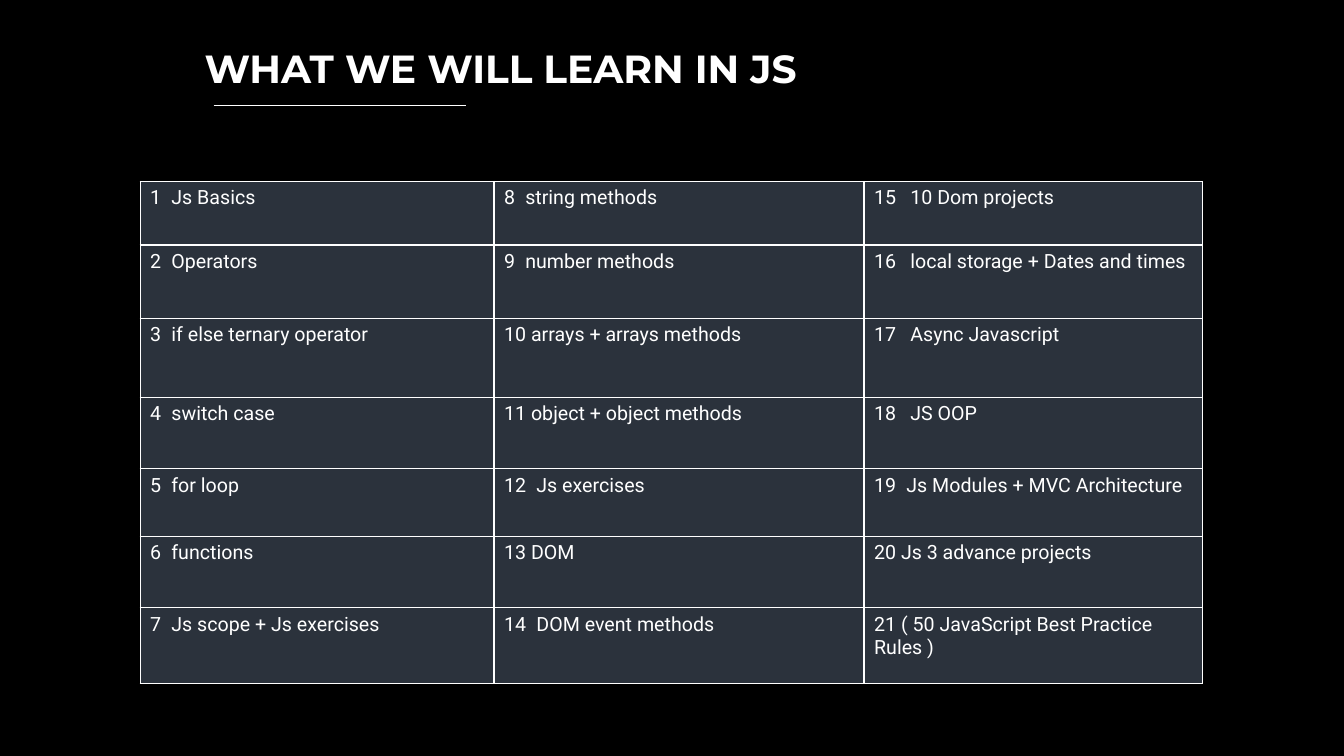
from lxml.etree import SubElement
from pptx import Presentation
from pptx.dml.color import RGBColor
from pptx.enum.shapes import MSO_CONNECTOR
from pptx.enum.text import MSO_AUTO_SIZE
from pptx.oxml.ns import qn
from pptx.util import Inches, Pt

TITLE = "WHAT WE WILL LEARN IN JS"
SPACED, NARROW, MEDIUM, WIDE = 0, 0.21, 0.32, 0.36
TOPICS = [
    ("Js Basics", NARROW),
    ("Operators", NARROW),
    ("if else ternary operator", NARROW),
    ("switch case", NARROW),
    ("for loop", NARROW),
    ("functions", NARROW),
    ("Js scope + Js exercises", NARROW),
    ("string methods", NARROW),
    ("number methods", NARROW),
    ("arrays + arrays methods", SPACED),
    ("object + object methods", SPACED),
    ("Js exercises", MEDIUM),
    ("DOM", SPACED),
    ("DOM event methods", MEDIUM),
    ("10 Dom projects", WIDE),
    ("local storage + Dates and times", WIDE),
    ("Async Javascript", WIDE),
    ("JS OOP", WIDE),
    ("Js Modules + MVC Architecture", MEDIUM),
    ("Js 3 advance projects", SPACED),
    ("( 50 JavaScript Best Practice Rules )", SPACED),
]
COLUMN_WIDTHS = [3.51, 3.67, 3.36]
ROW_HEIGHTS = [0.63, 0.73, 0.78, 0.71, 0.67, 0.71, 0.75]

BLACK = RGBColor(0x00, 0x00, 0x00)
WHITE = RGBColor(0xFF, 0xFF, 0xFF)
SLATE = RGBColor(0x2B, 0x32, 0x3C)


def add_text(paragraph, text, font_name, size, bold=False):
    run = paragraph.add_run()
    run.text = text
    run.font.name = font_name
    run.font.size = Pt(size)
    run.font.bold = bold
    run.font.color.rgb = WHITE


def add_title(slide):
    box = slide.shapes.add_textbox(Inches(1.93), Inches(0.39), Inches(11.31), Inches(0.57))
    box.text_frame.word_wrap = True
    box.text_frame.auto_size = MSO_AUTO_SIZE.SHAPE_TO_FIT_TEXT
    add_text(box.text_frame.paragraphs[0], TITLE, "Montserrat", 28, bold=True)


def add_underline(slide):
    line = slide.shapes.add_connector(
        MSO_CONNECTOR.STRAIGHT, Inches(2.12), Inches(1.05), Inches(4.62), Inches(1.05))
    line.line.color.rgb = WHITE
    line.line.width = Pt(0.75)
    SubElement(line._element.spPr, qn("a:effectLst"))


def style_cell(cell):
    properties = cell._tc.get_or_add_tcPr()
    for side in ("lnL", "lnR", "lnT", "lnB"):
        border = SubElement(properties, qn(f"a:{side}"), w=str(Pt(1)))
        fill = SubElement(border, qn("a:solidFill"))
        SubElement(fill, qn("a:srgbClr"), val=str(WHITE))
    cell.fill.solid()
    cell.fill.fore_color.rgb = SLATE


def set_tab(paragraph, offset):
    tabs = SubElement(paragraph._p.get_or_add_pPr(), qn("a:tabLst"))
    SubElement(tabs, qn("a:tab"), pos=str(Inches(offset)), algn="l")


def add_topics(slide):
    table = slide.shapes.add_table(
        len(ROW_HEIGHTS), len(COLUMN_WIDTHS), Inches(1.39), Inches(1.8),
        Inches(sum(COLUMN_WIDTHS)), Inches(sum(ROW_HEIGHTS))).table
    table.first_row = False
    table.horz_banding = False
    for column, width in zip(table.columns, COLUMN_WIDTHS):
        column.width = Inches(width)
    for row, height in zip(table.rows, ROW_HEIGHTS):
        row.height = Inches(height)
    for index, (topic, offset) in enumerate(TOPICS):
        column, row = divmod(index, len(ROW_HEIGHTS))
        cell = table.cell(row, column)
        style_cell(cell)
        paragraph = cell.text_frame.paragraphs[0]
        if offset:
            set_tab(paragraph, offset)
        gap = "\t" if offset else " "
        add_text(paragraph, f"{index + 1}{gap}{topic}", "Roboto", 14)


def main():
    presentation = Presentation()
    presentation.slide_width = Inches(13.33)
    presentation.slide_height = Inches(7.5)
    slide = presentation.slides.add_slide(presentation.slide_layouts[6])
    slide.background.fill.solid()
    slide.background.fill.fore_color.rgb = BLACK
    add_title(slide)
    add_topics(slide)
    add_underline(slide)
    presentation.save("out.pptx")


if __name__ == "__main__":
    main()
